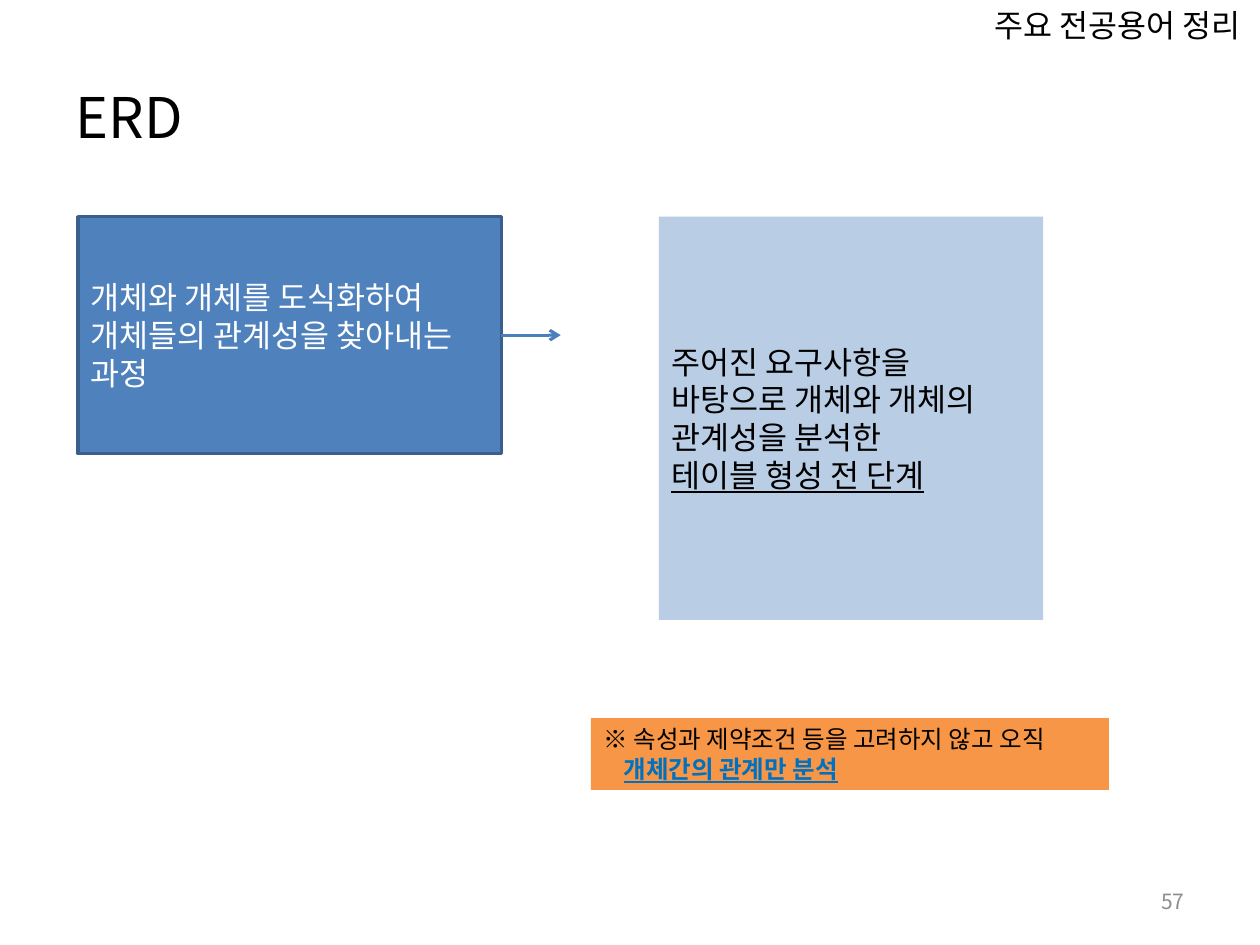
from dataclasses import dataclass
from typing import Optional

from lxml import etree
from pptx import Presentation
from pptx import util as u
from pptx.dml.color import RGBColor
from pptx.enum import shapes, text
from pptx.oxml import ns

FONT = "Noto Sans CJK KR"
WIDTH, HEIGHT = 10, 7.5
LEFT, TOP = 0.62, 1.72
Area = tuple[float, float, float, float]


@dataclass
class Run:
    """A piece of text with its own emphasis."""
    text: str
    bold: bool = False
    underline: bool = False
    color: Optional[str] = None


@dataclass
class Panel:
    """A filled rectangle holding paragraphs of runs."""
    area: Area
    fill: str
    paragraphs: list[list[Run]]
    color: str = "000000"
    size: int = 18
    line: Optional[str] = None
    anchor: text.MSO_ANCHOR = text.MSO_ANCHOR.MIDDLE
    hanging: float = 0


PANELS = [
    Panel((LEFT, TOP, 3.36, 1.88), "4F81BD",
          [[Run("개체와 개체를 도식화하여")], [Run("개체들의 관계성을 찾아내는 과정")]],
          color="FFFFFF", line="3A5F8C"),
    Panel((5.23, TOP, 3.05, 3.2), "B9CDE5",
          [[Run("주어진 요구사항을 바탕으로 개체와 개체의 관계성을 분석한")],
           [Run("테이블 형성 전 단계", underline=True)]]),
    Panel((4.69, 5.7, 4.11, 0.57), "F79646",
          [[Run("※ ", bold=True), Run("속성과 제약조건 등을 고려하지 않고 오직")],
           [Run("개체간의 관계만 분석", True, True, "0070C0")]],
          size=14, anchor=text.MSO_ANCHOR.TOP, hanging=0.16),
]


def rgb(value: str) -> RGBColor:
    """Turn a hex string into a colour."""
    return RGBColor.from_string(value)


def inches(area: Area) -> list[u.Inches]:
    """Convert an area to slide lengths."""
    return [u.Inches(v) for v in area]


def write(tf, paragraphs: list[list[Run]], *, size: int, color: str = "000000",
          align=text.PP_ALIGN.LEFT, anchor=text.MSO_ANCHOR.MIDDLE, hanging: float = 0) -> None:
    """Fill a text frame with formatted paragraphs."""
    tf.word_wrap = True
    tf.vertical_anchor = anchor
    for i, runs in enumerate(paragraphs):
        p = tf.paragraphs[0] if i == 0 else tf.add_paragraph()
        p.alignment = align
        if i and hanging:
            p._p.get_or_add_pPr().set("marL", str(u.Inches(hanging)))
        for item in runs:
            r = p.add_run()
            r.text = item.text
            r.font.size, r.font.name = u.Pt(size), FONT
            r.font.bold, r.font.underline = item.bold, item.underline
            r.font.color.rgb = rgb(item.color or color)
            etree.SubElement(r.font._element, ns.qn("a:ea"), typeface=FONT)


def add_panel(s, panel: Panel):
    """Draw one panel and return its shape."""
    sp = s.shapes.add_shape(shapes.MSO_SHAPE.RECTANGLE, *inches(panel.area))
    sp.shadow.inherit = False
    sp.fill.solid()
    sp.fill.fore_color.rgb = rgb(panel.fill)
    if panel.line:
        sp.line.color.rgb, sp.line.width = rgb(panel.line), u.Pt(2)
    else:
        sp.line.fill.background()
    write(sp.text_frame, panel.paragraphs, size=panel.size, color=panel.color,
          anchor=panel.anchor, hanging=panel.hanging)
    return sp


def add_label(s, area: Area, label: str, **style) -> None:
    """Add a one-line text box."""
    write(s.shapes.add_textbox(*inches(area)).text_frame, [[Run(label)]], **style)


def add_arrow(s, source, length: float) -> None:
    """Draw an arrow from the right middle of a shape."""
    x, y = source.left + source.width, source.top + source.height // 2
    cxn = s.shapes.add_connector(shapes.MSO_CONNECTOR.STRAIGHT, x, y, x + u.Inches(length), y)
    cxn.begin_connect(source, 3)
    cxn.line.color.rgb, cxn.line.width = rgb("4B7EBC"), u.Pt(1.75)
    etree.SubElement(cxn.line._get_or_add_ln(), ns.qn("a:tailEnd"), type="arrow")
    etree.SubElement(cxn._element.spPr, ns.qn("a:effectLst"))


def main() -> None:
    """Build the slide and save it."""
    prs = Presentation()
    prs.slide_width, prs.slide_height = u.Inches(WIDTH), u.Inches(HEIGHT)
    s = prs.slides.add_slide(prs.slide_layouts[5])
    title = s.shapes.title
    title.left, title.top, title.width, title.height = inches((0.5, 0.3, WIDTH - 1, 1.25))
    write(title.text_frame, [[Run("ERD")]], size=32)
    process, *_ = [add_panel(s, panel) for panel in PANELS]
    add_arrow(s, process, 0.47)
    add_label(s, (7.58, 0, 2.58, 0.4), "주요 전공용어 정리", size=18,
              align=text.PP_ALIGN.CENTER, anchor=text.MSO_ANCHOR.TOP)
    add_label(s, (7.17, 6.95, 2.33, 0.4), "57", size=12, color="8C8C8C",
              align=text.PP_ALIGN.RIGHT)
    prs.save("out.pptx")


if __name__ == "__main__":
    main()
